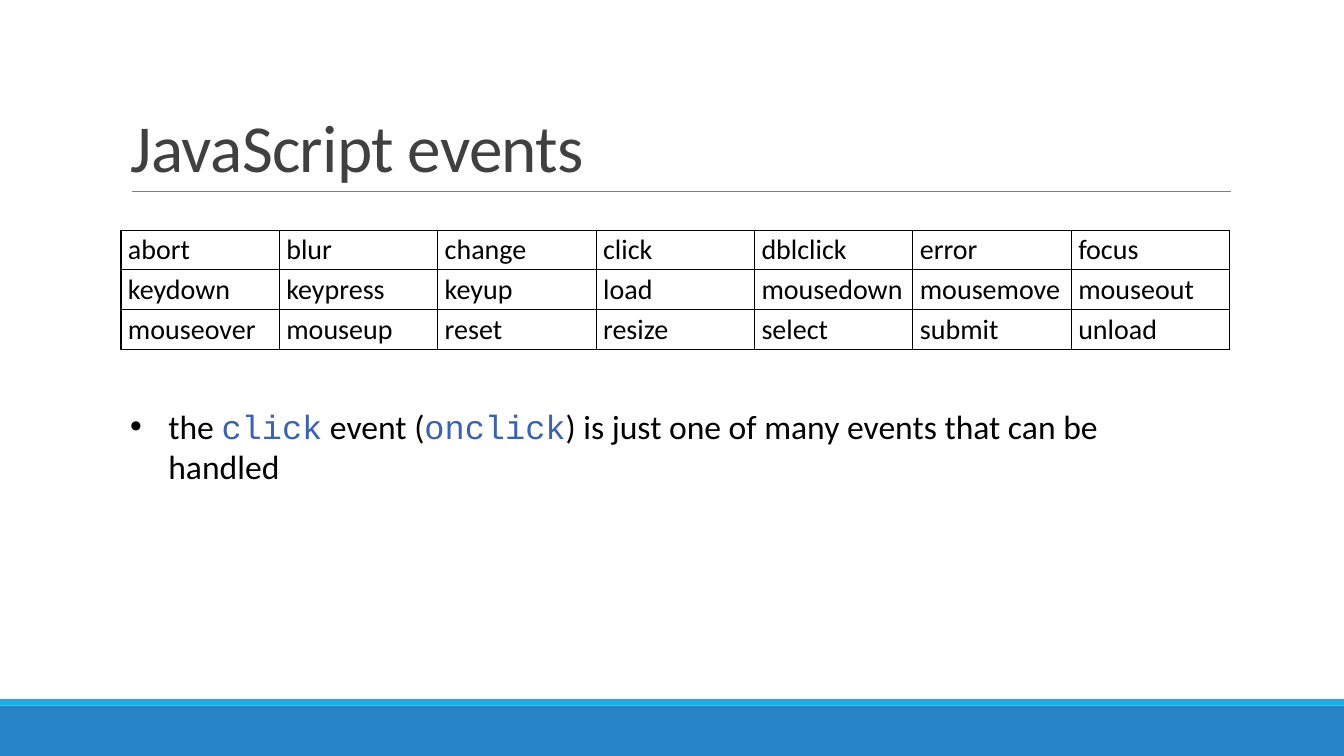
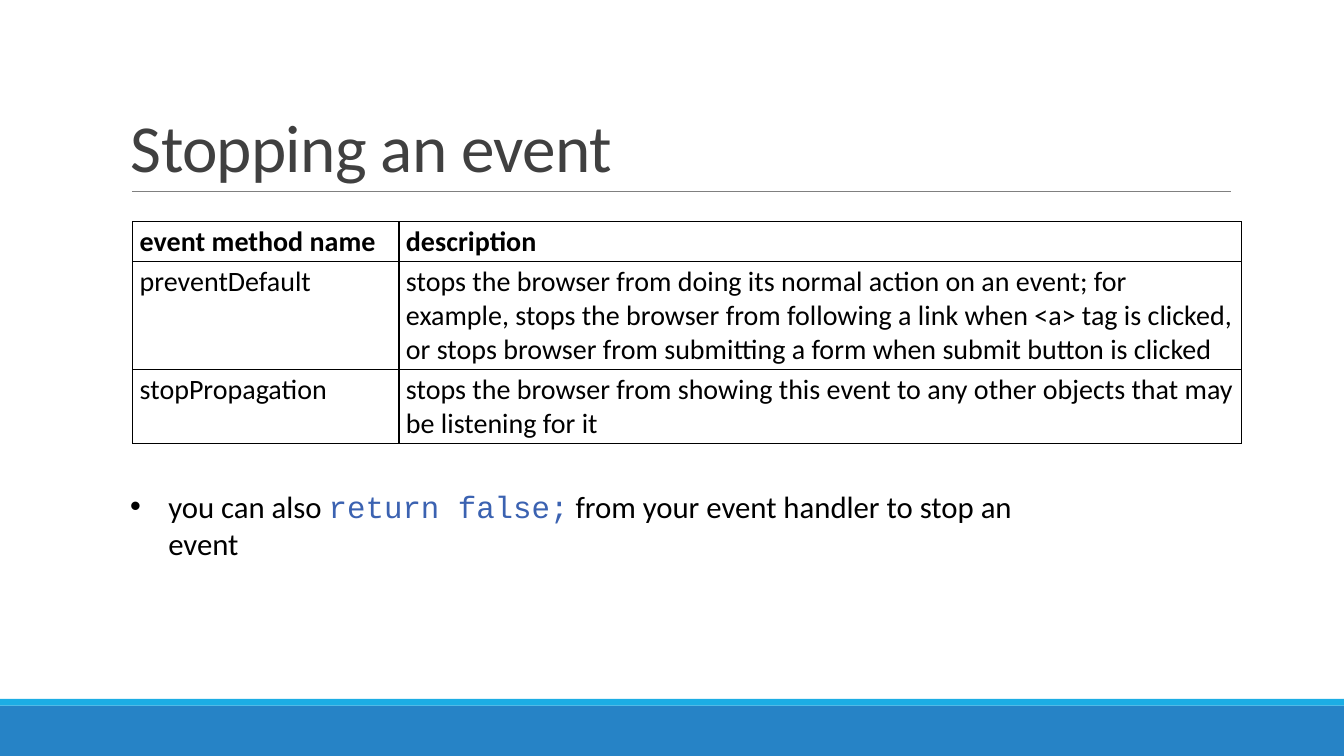
from pptx import Presentation
from pptx.dml.color import RGBColor
from pptx.enum.shapes import MSO_CONNECTOR as Link, MSO_SHAPE as Shape
from pptx.enum.text import MSO_ANCHOR as Anchor
from pptx.oxml import parse_xml
from pptx.oxml.ns import nsdecls
from pptx.util import Inches, Pt

# Grid of 80 columns by 45 rows, square units
COLS, ROWS = 80, 45
UNIT = Inches(1) // 6
LEFT, WIDE = 7.2, 66

# Palette
BLACK = RGBColor(0x00, 0x00, 0x00)
WHITE = RGBColor(0xFF, 0xFF, 0xFF)
GRAY = RGBColor(0x80, 0x80, 0x80)
DARK = RGBColor(0x40, 0x40, 0x40)
BLUE = RGBColor(0x26, 0x83, 0xC6)
CYAN = RGBColor(0x1C, 0xAD, 0xE4)
INK = RGBColor(0x3B, 0x62, 0xB1)

# Text formats
TITLE = {"name": "Calibri", "size": Pt(48), "color": DARK}
BODY = {"name": "Calibri", "size": Pt(20), "color": BLACK}
HEAD = {**BODY, "bold": True}
CODE = {"name": "Courier New", "color": INK}


def grid(*vals):
    return [round(v * UNIT) for v in vals]


def style(font, form):
    for key, val in form.items():
        if key == "color":
            font.color.rgb = val
        else:
            setattr(font, key, val)


def inset(item, left, top, right, bottom):
    sides = {"left": left, "top": top, "right": right, "bottom": bottom}
    for side, val in sides.items():
        setattr(item, f"margin_{side}", Inches(val))


class Deck:
    def __init__(self):
        self.prs = Presentation()
        self.prs.slide_width, self.prs.slide_height = grid(COLS, ROWS)
        self.slide = None

    def page(self, title):
        """Start a slide with its bands, title and rule."""
        self.slide = self.prs.slides.add_slide(self.prs.slide_layouts[6])
        self.band(42, 3, BLUE)
        self.band(41.6, 0.4, CYAN)
        self.rule(7.85, 73.25, 11.4)
        self.title(title)

    def rect(self, at, fill):
        box = self.slide.shapes.add_shape(Shape.RECTANGLE, *grid(*at))
        box.shadow.inherit = False
        box.fill.solid()
        box.fill.fore_color.rgb = fill
        box.line.fill.background()
        return box

    def band(self, top, high, fill):
        self.rect((0, top, COLS, high), fill)

    def rule(self, left, right, top):
        line = self.slide.shapes.add_connector(
            Link.STRAIGHT, *grid(left, top, right, top))
        line.line.color.rgb = GRAY
        line.line.width = Pt(0.5)
        line._element.spPr.append(
            parse_xml(f"<a:effectLst {nsdecls('a')}/>"))

    def title(self, text):
        box = self.slide.shapes.add_textbox(*grid(LEFT, 1.9, WIDE, 9.5))
        frame = box.text_frame
        frame.word_wrap = True
        frame.vertical_anchor = Anchor.BOTTOM
        para = frame.paragraphs[0]
        para.line_spacing = 0.85
        run = para.add_run()
        run.text = text
        style(run.font, TITLE)
        run.font._element.set("spc", "-50")

    def table(self, left, top, cols, rows, data, head=False):
        """Draw a ruled table; cols and rows hold grid sizes."""
        table = self.slide.shapes.add_table(
            len(rows), len(cols),
            *grid(left, top, sum(cols), sum(rows))).table
        table.first_row = head
        table.horz_banding = False
        for col, wide in zip(table.columns, grid(*cols)):
            col.width = wide
        for num, (row, high) in enumerate(zip(table.rows, grid(*rows))):
            row.height = high
            for cell, text in zip(row.cells, data[num]):
                self.cell(cell, text, HEAD if head and num == 0 else BODY)

    def cell(self, cell, text, form):
        inset(cell, 0.07, 0.03, 0.07, 0.03)
        props = cell._tc.get_or_add_tcPr()
        for side in "LRTB":
            props.append(parse_xml(
                f'<a:ln{side} {nsdecls("a")} w="{Pt(1)}"><a:solidFill>'
                f'<a:srgbClr val="{BLACK}"/></a:solidFill></a:ln{side}>'))
        cell.fill.background()
        run = cell.text_frame.paragraphs[0].add_run()
        run.text = text
        style(run.font, {"bold": False, **form})

    def bullet(self, at, size, parts):
        """Write one bullet; every second part is code."""
        frame = self.rect(at, WHITE).text_frame
        frame.word_wrap = True
        frame.vertical_anchor = Anchor.MIDDLE
        inset(frame, 0.09, 0, 0, 0.13)
        para = frame.paragraphs[0]
        props = para._p.get_or_add_pPr()
        hang = Inches(0.38)
        for key, val in {"marL": hang, "indent": -hang, "algn": "l"}.items():
            props.set(key, str(val))
        for tag in (f'buClr {nsdecls("a")}><a:srgbClr val="{BLACK}"/></a:buClr',
                    f'buFont {nsdecls("a")} typeface="Arial"/',
                    f'buChar {nsdecls("a")} char="•"/'):
            props.append(parse_xml(f"<a:{tag}>"))
        for num, text in enumerate(parts):
            run = para.add_run()
            run.text = text
            form = CODE if num % 2 else BODY
            style(run.font, {**form, "size": Pt(size)})


def main():
    deck = Deck()

    # Event names
    names = """abort blur change click dblclick error focus
        keydown keypress keyup load mousedown mousemove mouseout
        mouseover mouseup reset resize select submit unload""".split()
    count = 7
    data = [names[i:i + count] for i in range(0, len(names), count)]
    deck.page("JavaScript events")
    deck.table(LEFT, 13.7, [WIDE / count] * count, [2.35] * len(data), data)
    deck.bullet((LEFT, 22.9, 64.6, 8.05), 24, [
        "the ", "click", " event (", "onclick",
        ") is just one of many events that can be handled"])

    # Methods that stop an event
    deck.page("Stopping an event")
    deck.table(7.9, 13.2, [15.85, 50.15], [2.35, 6.45, 4.4], [
        ("event method name", "description"),
        ("preventDefault",
         "stops the browser from doing its normal action on an event; "
         "for example, stops the browser from following a link when <a> "
         "tag is clicked, or stops browser from submitting a form when "
         "submit button is clicked"),
        ("stopPropagation",
         "stops the browser from showing this event to any other objects "
         "that may be listening for it")], head=True)
    deck.bullet((LEFT, 27.9, 57.05, 7.45), 22, [
        "you can also ", "return false;",
        " from your event handler to stop an event"])

    deck.prs.save("out.pptx")


if __name__ == "__main__":
    main()
